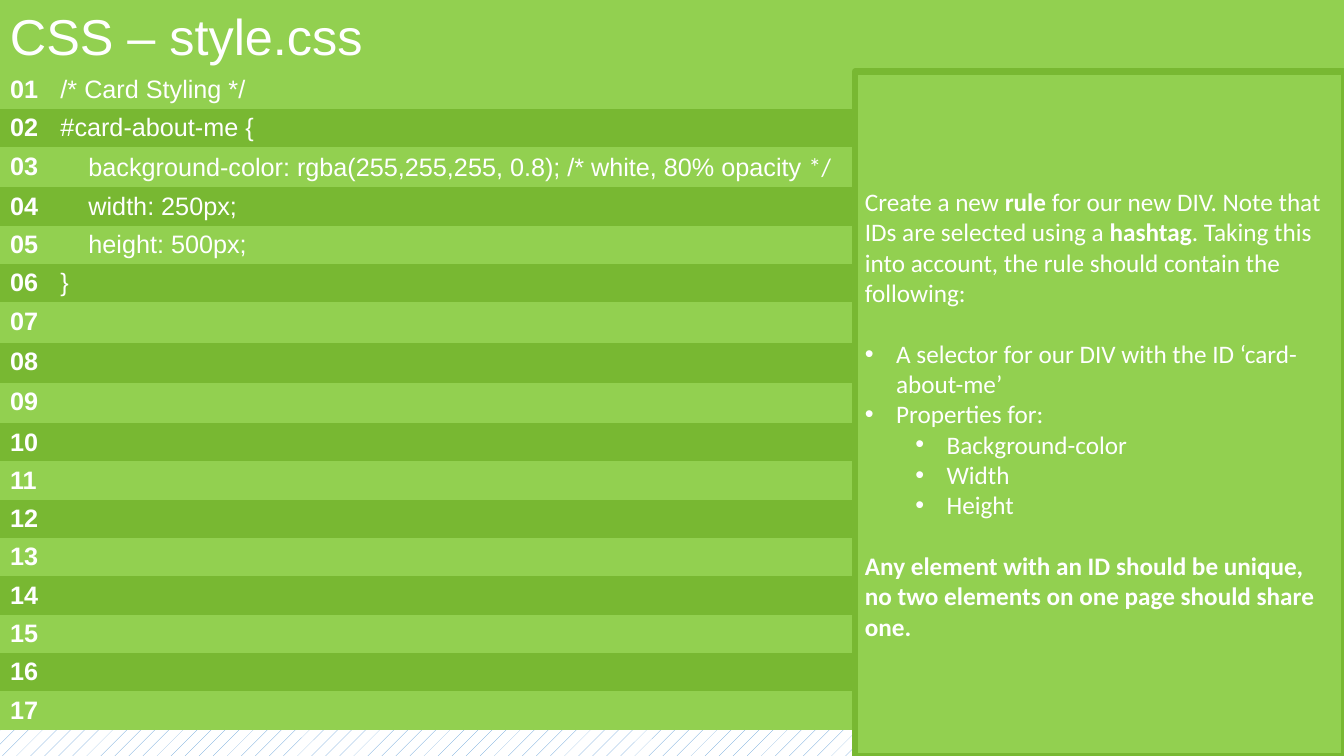
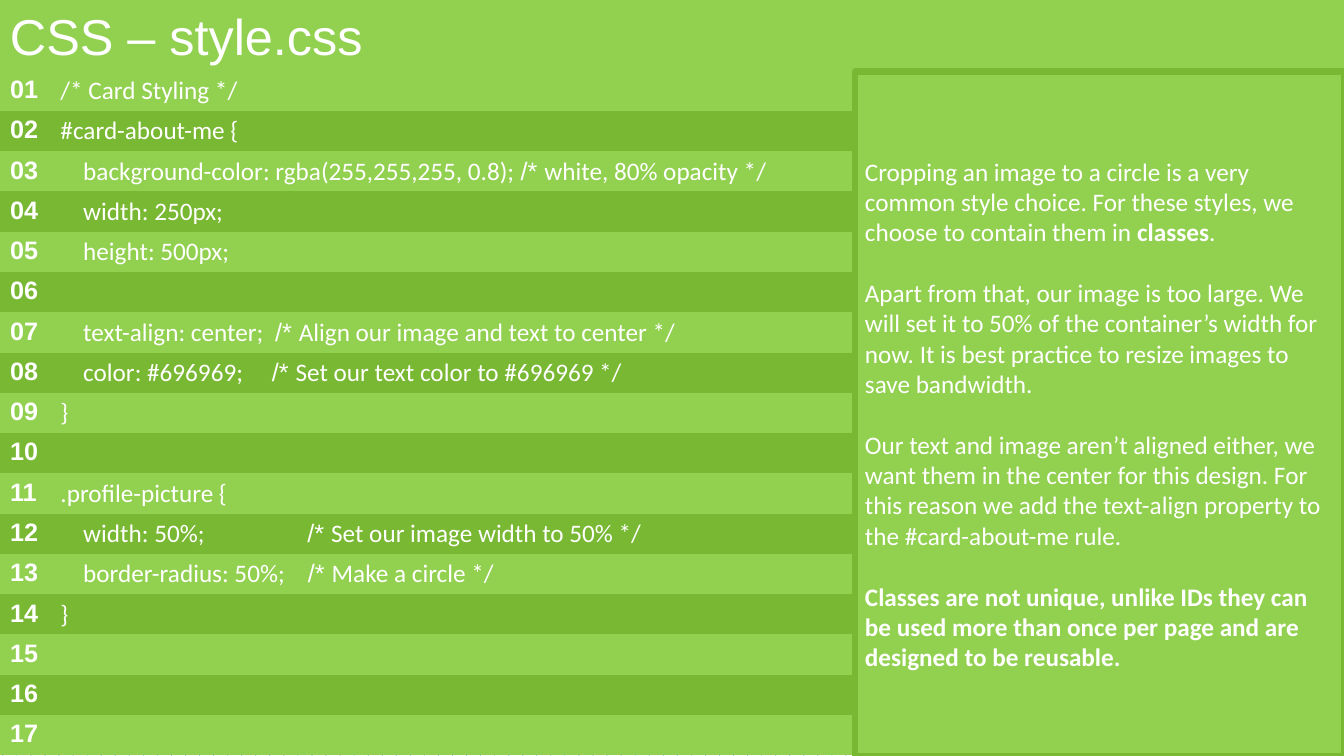
from dataclasses import dataclass
from itertools import cycle

from lxml import etree
from pptx import Presentation
from pptx.dml import color as colors
from pptx.enum import dml, shapes, text
from pptx.oxml import ns
from pptx import util as u


@dataclass(frozen=True)
class Theme:
    light: colors.RGBColor = colors.RGBColor.from_string("92D050")
    dark: colors.RGBColor = colors.RGBColor.from_string("78B832")
    white: colors.RGBColor = colors.RGBColor.from_string("FFFFFF")
    pattern: colors.RGBColor = colors.RGBColor.from_string("5B9BD5")
    code_font: str = "Arial"
    body_font: str = "Calibri"
    title_size: u.Pt = u.Pt(36)
    text_size: u.Pt = u.Pt(18)
    paragraph_gap: u.Pt = u.Pt(22)
    border: u.Pt = u.Pt(4.5)


THEME = Theme()
NO_GRID_STYLE = "{2D5ABB26-0587-4C30-8999-92F81FD0307C}"
SLIDE_WIDTH, SLIDE_HEIGHT = 13.33, 7.5
TITLE = "CSS – style.css"
TITLE_HEIGHT = 0.71
PANEL_LEFT = 8.48
TABLE_TOP = 0.7
COLUMN_WIDTHS = (0.5, 8.87)
ROW_COUNT = 17
CODE_ROW = 0.38
BODY_ROW = (SLIDE_HEIGHT - TABLE_TOP) / ROW_COUNT  # fills the slide exactly
CELL_BOTTOM = 0.03  # slim margin, so the text fits its row

TITLE_FORMAT = {"name": THEME.code_font, "size": THEME.title_size}
CODE = {"name": THEME.code_font, "size": THEME.text_size, "bold": False}
BODY = {**CODE, "name": THEME.body_font}
NUMBER = {**CODE, "bold": True}
STRONG = {**BODY, "bold": True}

# In code lines "|" switches between the main and the other font
CARD_CODE = [
    "/* Card Styling */",
    "#card-about-me {",
    "    background-color: rgba(255,255,255, 0.8); /* white, 80% opacity |*/",
    "    width: 250px;",
    "    height: 500px;",
    "}",
]
PICTURE_CODE = [
    "/* Card Styling */",
    "#card-about-me {",
    "    background-color: rgba(255,255,255, 0.8); |/* |white, 80% opacity */",
    "    width: 250px;",
    "    height: 500px;",
    "",
    "    text-align: center;  |/* |Align our image and text to center */",
    "    color: #696969;     |/* |Set our text color to #696969 */",
    "}",
    "",
    ".profile-picture {",
    "    width: 50%;                  |/* |Set our image width to 50% */",
    "    border-radius: 50%;    |/* |Make a circle */",
    "}",
]

# Panel paragraphs: text with "|" switching bold, bullet level, gap before
CARD_NOTES = [
    ("Create a new |rule| for our new DIV. Note that IDs are selected using a "
     "|hashtag|. Taking this into account, the rule should contain the following:",
     None, False),
    ("A selector for our DIV with the ID ‘card-about-me’", 0, True),
    ("Properties for:", 0, False),
    ("Background-color", 1, False),
    ("Width", 1, False),
    ("Height", 1, False),
    ("|Any element with an ID should be unique, no two elements on one page "
     "should share one.", None, True),
]
PICTURE_NOTES = [
    ("Cropping an image to a circle is a very common style choice. For these "
     "styles, we choose to contain them in |classes|.", None, False),
    ("Apart from that, our image is too large. We will set it to 50% of the "
     "container’s width for now. It is best practice to resize images to save "
     "bandwidth.", None, True),
    ("Our text and image aren’t aligned either, we want them in the center for "
     "this design. For this reason we add the text-align property to the "
     "#card-about-me rule.", None, True),
    ("|Classes are not unique, unlike IDs they can be used more than once per "
     "page and are designed to be reusable.", None, True),
]


def write_runs(paragraph, content, *formats):
    """Write the parts between bars, taking the formats in turn."""
    for part, values in zip(content.split("|"), cycle(formats)):
        if not part:
            continue
        run = paragraph.add_run()
        run.text = part
        for name, value in values.items():
            setattr(run.font, name, value)
        run.font.color.rgb = THEME.white


def add_bullet(paragraph, level):
    properties = paragraph._p.get_or_add_pPr()
    properties.set("marL", str(u.Inches(0.31 + 0.5 * level)))
    properties.set("indent", str(u.Inches(-0.31)))
    etree.SubElement(properties, ns.qn("a:buFont")).set("typeface", "Arial")
    etree.SubElement(properties, ns.qn("a:buChar")).set("char", "•")
    paragraph.level = level


def add_box(slide, left, top, width, height, anchor):
    shape = slide.shapes.add_shape(
        shapes.MSO_SHAPE.RECTANGLE, *map(u.Inches, (left, top, width, height)))
    shape.shadow.inherit = False
    shape.fill.solid()
    shape.fill.fore_color.rgb = THEME.light
    shape.line.fill.background()
    shape.text_frame.word_wrap = True
    shape.text_frame.vertical_anchor = anchor
    shape.text_frame.paragraphs[0].alignment = text.PP_ALIGN.LEFT
    return shape


def add_title(slide):
    shape = add_box(slide, 0, 0, SLIDE_WIDTH, TITLE_HEIGHT, text.MSO_ANCHOR.TOP)
    shape.text_frame.auto_size = text.MSO_AUTO_SIZE.SHAPE_TO_FIT_TEXT
    write_runs(shape.text_frame.paragraphs[0], TITLE, TITLE_FORMAT)


def add_panel(slide, notes):
    shape = add_box(slide, PANEL_LEFT, TITLE_HEIGHT, SLIDE_WIDTH - PANEL_LEFT,
                    SLIDE_HEIGHT - TITLE_HEIGHT, text.MSO_ANCHOR.MIDDLE)
    shape.line.color.rgb = THEME.dark
    shape.line.width = THEME.border
    frame = shape.text_frame
    for index, (content, level, gap) in enumerate(notes):
        paragraph = frame.add_paragraph() if index else frame.paragraphs[0]
        paragraph.alignment = text.PP_ALIGN.LEFT
        if gap:
            paragraph.space_before = THEME.paragraph_gap
        if level is not None:
            add_bullet(paragraph, level)
        write_runs(paragraph, content, BODY, STRONG)


def fill_cell(cell, fill_color, content, *formats):
    cell.fill.solid()
    cell.fill.fore_color.rgb = fill_color
    cell.margin_bottom = u.Inches(CELL_BOTTOM)
    paragraph = cell.text_frame.paragraphs[0]
    if content:
        write_runs(paragraph, content, *formats)
    else:
        # A small end mark keeps an empty cell from stretching its row
        etree.SubElement(paragraph._p, ns.qn("a:endParaRPr")).set("sz", "1000")


def add_code_table(slide, lines, formats, row_heights):
    frame = slide.shapes.add_table(
        ROW_COUNT, len(COLUMN_WIDTHS), 0, u.Inches(TABLE_TOP),
        u.Inches(sum(COLUMN_WIDTHS)), u.Inches(sum(row_heights)))
    table = frame.table
    table.first_row = table.horz_banding = False
    table._tbl.tblPr.find(ns.qn("a:tableStyleId")).text = NO_GRID_STYLE
    for column, width in zip(table.columns, COLUMN_WIDTHS):
        column.width = u.Inches(width)
    padded = lines + [""] * (ROW_COUNT - len(lines))
    bands = cycle((THEME.light, THEME.dark))
    rows = zip(table.rows, padded, row_heights, bands)
    for number, (row, line, height, band) in enumerate(rows, start=1):
        row.height = u.Inches(height)
        fill_cell(row.cells[0], band, f"{number:02}", NUMBER)
        fill_cell(row.cells[1], band, line, *formats)


def add_code_slide(presentation, lines, formats, row_heights, notes):
    slide = presentation.slides.add_slide(presentation.slide_layouts[6])
    fill = slide.background.fill
    fill.patterned()
    fill.pattern = dml.MSO_PATTERN.PERCENT_5
    fill.fore_color.rgb = THEME.pattern
    fill.back_color.rgb = THEME.white
    add_code_table(slide, lines, formats, row_heights)
    add_title(slide)
    add_panel(slide, notes)


def main():
    presentation = Presentation()
    presentation.slide_width = u.Inches(SLIDE_WIDTH)
    presentation.slide_height = u.Inches(SLIDE_HEIGHT)

    # Rule for the card
    card_heights = [BODY_ROW if number in (3, 7, 8, 9) else CODE_ROW
                    for number in range(1, ROW_COUNT + 1)]
    add_code_slide(presentation, CARD_CODE, (CODE, BODY), card_heights, CARD_NOTES)

    # Rules for the picture
    add_code_slide(presentation, PICTURE_CODE, (BODY, CODE),
                   [BODY_ROW] * ROW_COUNT, PICTURE_NOTES)

    presentation.save("out.pptx")


if __name__ == "__main__":
    main()
